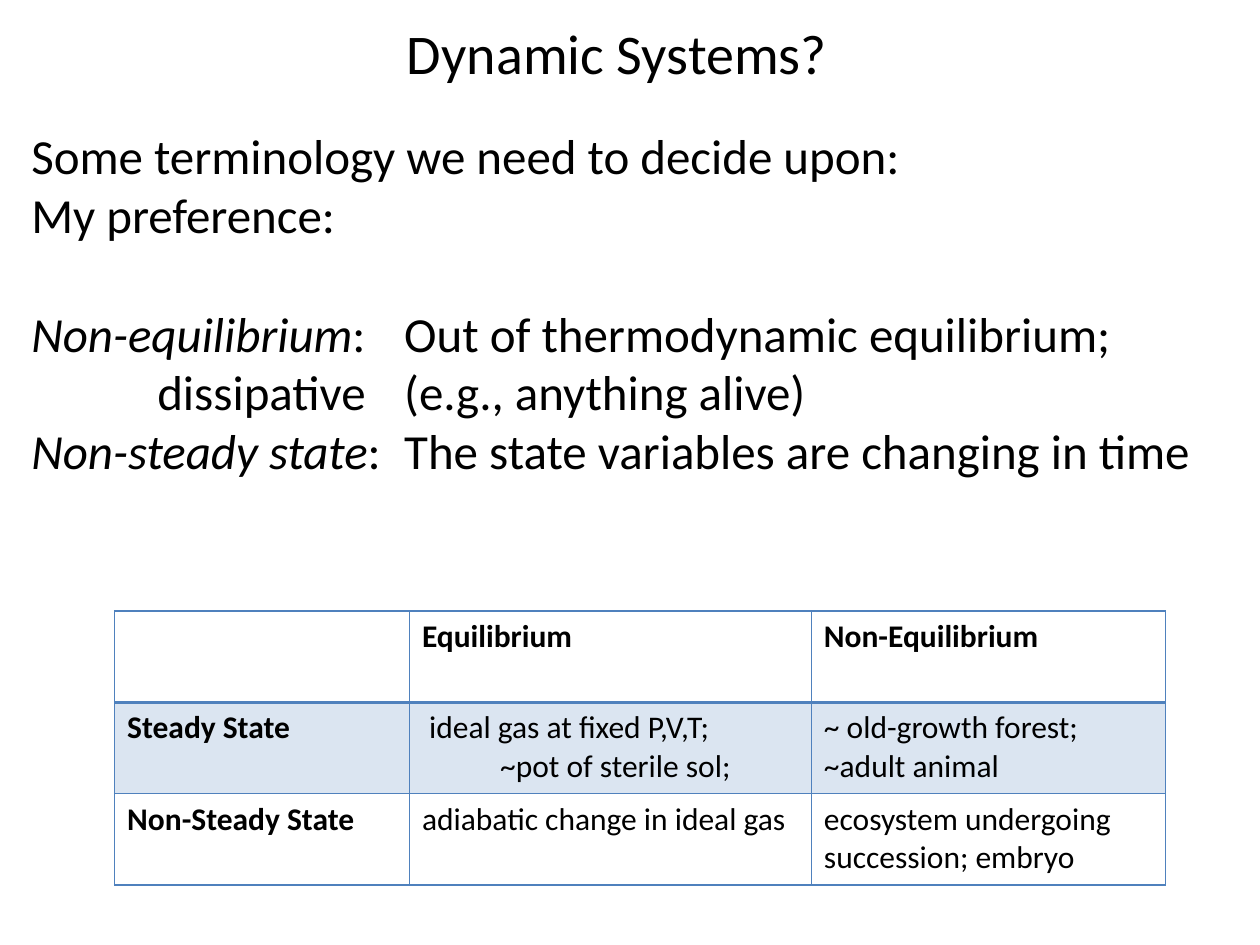
from typing import NamedTuple

from lxml.etree import SubElement
from pptx import Presentation
from pptx.dml.color import RGBColor
from pptx.enum.text import MSO_ANCHOR, PP_ALIGN
from pptx.oxml.ns import qn
from pptx.util import Inches, Pt

FONT = "Calibri"
BLACK = "000000"
BLUE = "4F81BD"


class Line(NamedTuple):
    text: str
    term: str = ""
    space_before: float = 0


class Entry(NamedTuple):
    lines: tuple[str, ...] = ()
    bold: bool = False
    second_indent: float = 0


BODY = [
    Line("Some terminology we need to decide upon:"),
    Line("My preference:"),
    Line(":\tOut of thermodynamic equilibrium;", "Non-equilibrium", 34),
    Line("\tdissipative\t(e.g., anything alive)"),
    Line(":\tThe state variables are changing in time", "Non-steady state"),
]
BODY_TABS = (1, 2.96)

STATES = [
    [Entry(), Entry(("Equilibrium",), True), Entry(("Non-Equilibrium",), True)],
    [Entry(("Steady State",), True),
     Entry((" ideal gas at fixed P,V,T;", "~pot of sterile sol;"), second_indent=0.62),
     Entry(("~ old-growth forest; ~adult animal",))],
    [Entry(("Non-Steady State",), True),
     Entry(("adiabatic change in ideal gas",)),
     Entry(("ecosystem undergoing succession; embryo",))],
]
COLUMN_WIDTHS = (2.34, 3.19, 2.81)
ROW_HEIGHT = 0.725


def rgb(color: str) -> RGBColor:
    return RGBColor.from_string(color)


def add_text(paragraph, text: str, *, size: float, bold=False, italic=False, color=BLACK) -> None:
    run = paragraph.add_run()
    run.text = text
    font = run.font
    font.name, font.size, font.bold, font.italic = FONT, Pt(size), bold, italic
    font.color.rgb = rgb(color)


def set_tabs(paragraph, stops: tuple[float, ...]) -> None:
    tab_list = SubElement(paragraph._p.get_or_add_pPr(), qn("a:tabLst"))
    for stop in stops:
        SubElement(tab_list, qn("a:tab"), pos=str(Inches(stop)), algn="l")


def set_borders(cell, widths: dict[str, float]) -> None:
    """Draw the cell's sides, keyed L, R, T and B, with widths in points."""
    properties = cell._tc.get_or_add_tcPr()
    for side, width in widths.items():
        border = SubElement(properties, qn(f"a:ln{side}"), w=str(Pt(width)))
        fill = SubElement(border, qn("a:solidFill"))
        SubElement(fill, qn("a:srgbClr"), val=BLUE)


def tint(cell, color: str, opacity: int) -> None:
    cell.fill.solid()
    cell.fill.fore_color.rgb = rgb(color)
    color_element = next(cell._tc.tcPr.find(qn("a:solidFill")).iterchildren())
    SubElement(color_element, qn("a:alpha"), val=str(opacity * 1000))


def add_title(slide, text: str) -> None:
    title = slide.shapes.title
    title.left, title.top = Inches(3.13), Inches(0.1)
    title.width, title.height = Inches(4.09), Inches(0.64)
    frame = title.text_frame
    frame.vertical_anchor = MSO_ANCHOR.TOP
    frame.paragraphs[0].alignment = PP_ALIGN.LEFT
    add_text(frame.paragraphs[0], text, size=32)


def add_body(slide, lines: list[Line]) -> None:
    body = slide.shapes.add_textbox(Inches(0.15), Inches(0.95), Inches(9.85), Inches(3.4))
    frame = body.text_frame
    frame.word_wrap = True
    for index, line in enumerate(lines):
        paragraph = frame.add_paragraph() if index else frame.paragraphs[0]
        paragraph.space_before = Pt(line.space_before)
        if "\t" in line.text:
            set_tabs(paragraph, BODY_TABS)
        if line.term:
            add_text(paragraph, line.term, size=28, italic=True)
        add_text(paragraph, line.text, size=28)


def fill_cell(cell, entry: Entry) -> None:
    frame = cell.text_frame
    for index, text in enumerate(entry.lines):
        paragraph = frame.add_paragraph() if index else frame.paragraphs[0]
        if index:
            paragraph._p.get_or_add_pPr().set("marL", str(Inches(entry.second_indent)))
        add_text(paragraph, text, size=18, bold=entry.bold)


def add_states(slide, rows: list[list[Entry]]) -> None:
    frame = slide.shapes.add_table(
        len(rows), len(COLUMN_WIDTHS), Inches(0.91), Inches(4.85),
        Inches(sum(COLUMN_WIDTHS)), Inches(ROW_HEIGHT * len(rows)))
    table = frame.table
    table.first_row = table.horz_banding = False
    for column, width in zip(table.columns, COLUMN_WIDTHS):
        column.width = Inches(width)
    for r, entries in enumerate(rows):
        table.rows[r].height = Inches(ROW_HEIGHT)
        for c, entry in enumerate(entries):
            cell = table.cell(r, c)
            fill_cell(cell, entry)
            set_borders(cell, {"L": 1, "R": 1, "T": 2 if r == 1 else 1, "B": 2 if r == 0 else 1})
            if r == 1:
                tint(cell, BLUE, 20)
            else:
                cell.fill.background()


def main() -> None:
    deck = Presentation()
    deck.slide_width, deck.slide_height = Inches(10), Inches(7.5)
    slide = deck.slides.add_slide(deck.slide_layouts[5])
    add_title(slide, "Dynamic Systems?")
    add_body(slide, BODY)
    add_states(slide, STATES)
    deck.save("out.pptx")


if __name__ == "__main__":
    main()
